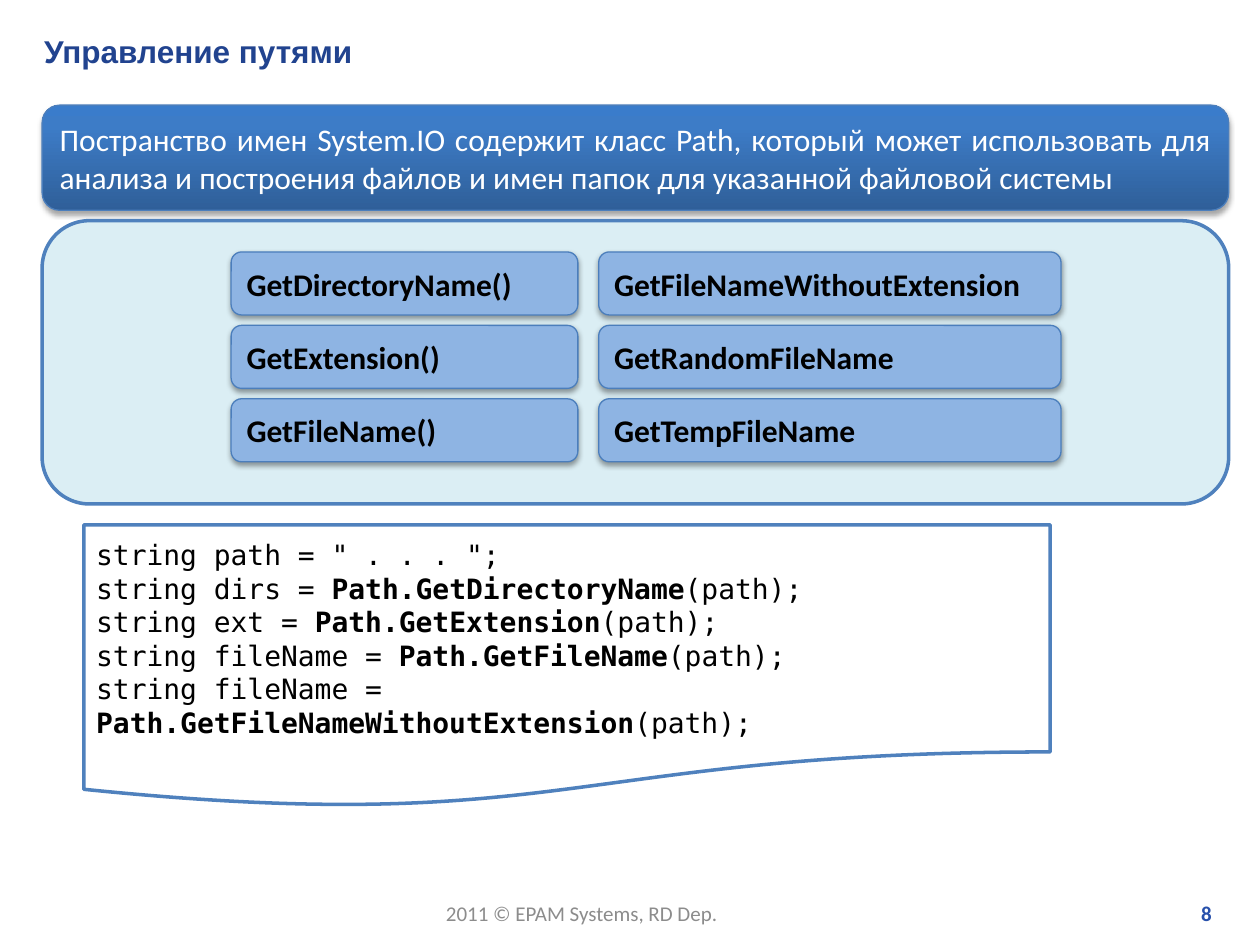
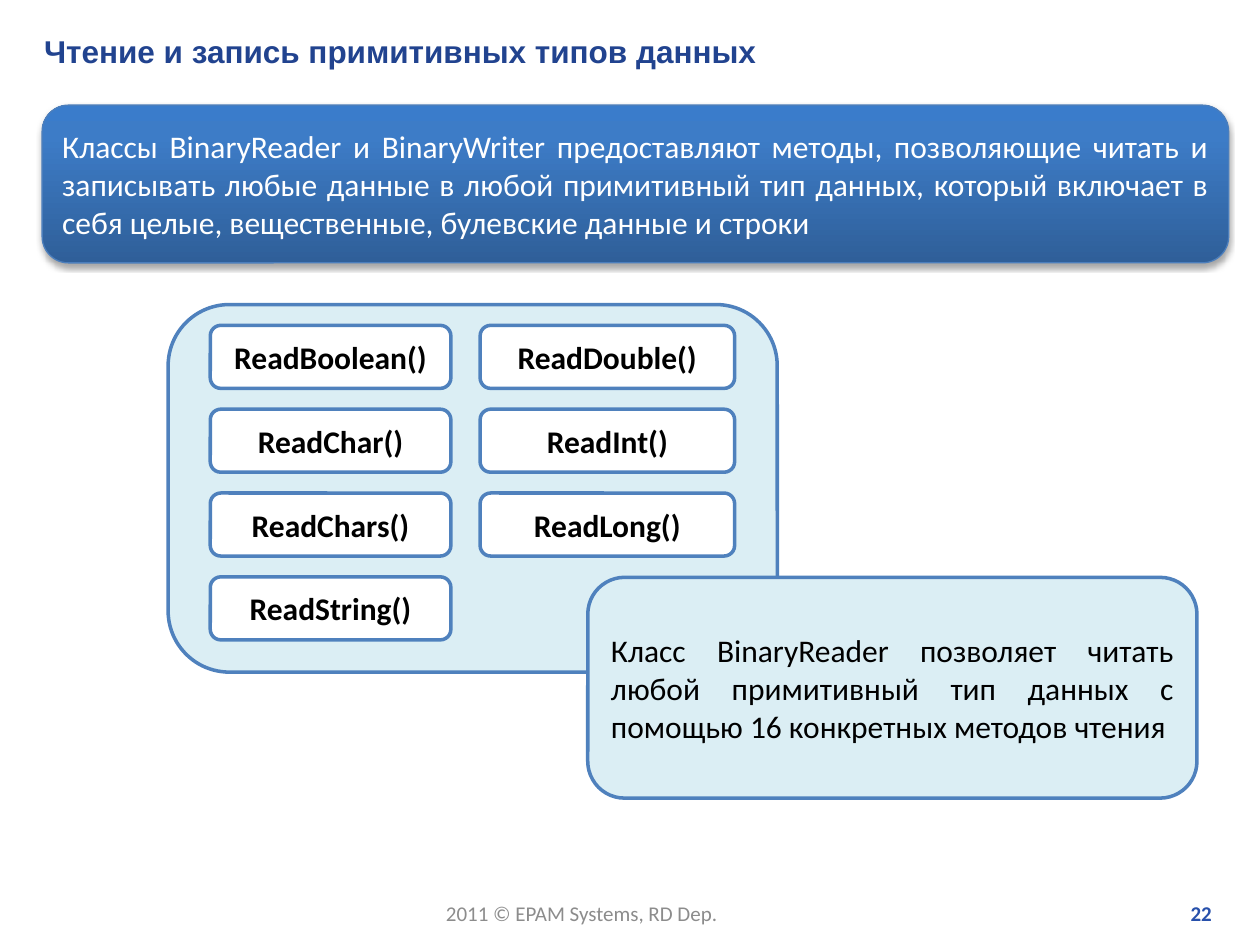
from copy import deepcopy
from dataclasses import dataclass

from lxml import etree
from pptx import Presentation
from pptx.dml.color import RGBColor
from pptx.enum.shapes import MSO_SHAPE
from pptx.enum.text import MSO_ANCHOR, PP_ALIGN
from pptx.oxml.ns import qn
from pptx.util import Cm, Pt

ROUNDED = MSO_SHAPE.ROUNDED_RECTANGLE
DOCUMENT = MSO_SHAPE.FLOWCHART_DOCUMENT
MIDDLE = MSO_ANCHOR.MIDDLE
LEFT, CENTER, RIGHT, JUSTIFY = PP_ALIGN.LEFT, PP_ALIGN.CENTER, PP_ALIGN.RIGHT, PP_ALIGN.JUSTIFY
BLANK_LAYOUT = 6


@dataclass(frozen=True)
class Theme:
    title: str = "21438F"
    number: str = "2750AB"
    footer: str = "8C8C8C"
    white: str = "FFFFFF"
    black: str = "000000"
    panel: str = "DBEEF4"
    outline: str = "4F81BD"
    thin_outline: str = "4B7EBC"
    method: str = "8EB4E3"
    banner: tuple = ((0, "2F5F99"), (0.8, "3D7CC7"), (1, "3A7CCB"))
    title_font: str = "Arial"
    body_font: str = "Calibri"
    code_font: str = "DejaVu Sans Mono"
    body_size: int = 18
    code_size: int = 16
    footer_size: int = 12
    thick: float = 2
    thin: float = 0.75
    space_after: int = 10


@dataclass(frozen=True)
class Box:
    left: float
    top: float
    width: float
    height: float

    def inner(self, left, top, width, height):
        return Box(self.left + left, self.top + top, width, height)

    def lengths(self):
        return [Cm(value) for value in (self.left, self.top, self.width, self.height)]


THEME = Theme()
PAGE = Box(0, 0, 25.4, 19.05)


def format_run(run, color, size=THEME.body_size, bold=False, font=THEME.body_font):
    run.font.name = font
    run.font.size = Pt(size)
    run.font.bold = bold
    run.font.color.rgb = RGBColor.from_string(color)


def write_paragraph(shape, text, color, align, space_after=0, **style):
    shape.text_frame.text = text
    paragraph = shape.text_frame.paragraphs[0]
    paragraph.alignment = align
    paragraph.space_after = Pt(space_after)
    for run in paragraph.runs:
        format_run(run, color, **style)


def add_label(slide, box, text, color, align=LEFT, wrap=True, **style):
    label = slide.shapes.add_textbox(*box.lengths())
    label.text_frame.word_wrap = wrap
    label.text_frame.vertical_anchor = MIDDLE
    write_paragraph(label, text, color, align, **style)


def add_panel(shapes, box, fill=THEME.panel, line=THEME.outline, weight=THEME.thick, kind=ROUNDED):
    panel = shapes.add_shape(kind, *box.lengths())
    panel.shadow.inherit = False
    panel.fill.solid()
    panel.fill.fore_color.rgb = RGBColor.from_string(fill)
    panel.line.color.rgb = RGBColor.from_string(line)
    panel.line.width = Pt(weight)
    panel.text_frame.word_wrap = True
    panel.text_frame.vertical_anchor = MIDDLE
    return panel


def add_shadow(shape, opacity, distance):
    effects = shape._element.spPr.find(qn("a:effectLst"))
    shadow = etree.SubElement(
        effects, qn("a:outerShdw"), blurRad=str(Pt(3.1)), dist=str(Pt(distance)),
        dir="5400000", rotWithShape="0")
    color = etree.SubElement(shadow, qn("a:srgbClr"), val=THEME.black)
    etree.SubElement(color, qn("a:alpha"), val=str(opacity * 1000))


def fill_gradient(shape, stops):
    shape.fill.gradient()
    shape.fill.gradient_angle = 90
    stop_list = shape._element.spPr.find(qn("a:gradFill")).find(qn("a:gsLst"))
    stop_list.append(deepcopy(stop_list[0]))
    for stop, (position, color) in zip(shape.fill.gradient_stops, stops):
        stop.position = position
        stop.color.rgb = RGBColor.from_string(color)


def add_page(presentation, title, number):
    slide = presentation.slides.add_slide(presentation.slide_layouts[BLANK_LAYOUT])
    add_label(slide, PAGE.inner(8.74, 18.03, 6.07, 0.76), "2011 © EPAM Systems, RD Dep.",
              THEME.footer, wrap=False, size=THEME.footer_size)
    add_label(slide, PAGE.inner(19.3, 18.03, 5.38, 0.76), str(number),
              THEME.number, RIGHT, size=THEME.footer_size, bold=True)
    add_label(slide, PAGE.inner(0.64, 0.51, 24.23, 1.02), title,
              THEME.title, bold=True, font=THEME.title_font)
    return slide


def add_banner(slide, text, height):
    banner = add_panel(slide.shapes, PAGE.inner(0.85, 2.12, 23.92, height),
                       line=THEME.thin_outline, weight=THEME.thin)
    fill_gradient(banner, THEME.banner)
    add_shadow(banner, 35, 1.8)
    write_paragraph(banner, text, THEME.white, JUSTIFY, THEME.space_after)


def add_method_grid(shapes, box, columns, gap, pitch, align, shadowed=False, **look):
    left = 0
    for width, methods in columns:
        for row, method in enumerate(methods):
            button = add_panel(shapes, box.inner(left, row * pitch, width, 1.27), **look)
            if shadowed:
                add_shadow(button, 38, 1.6)
            write_paragraph(button, method, THEME.black, align, THEME.space_after, bold=True)
        left += width + gap


def add_path_methods(slide, box):
    add_panel(slide.shapes, box)
    columns = [
        (6.99, ["GetDirectoryName()", "GetExtension()", "GetFileName()"]),
        (9.32, ["GetFileNameWithoutExtension", "GetRandomFileName", "GetTempFileName"]),
    ]
    add_method_grid(slide.shapes, box.inner(3.81, 0.63, 16.73, 4.23), columns, 0.42, 1.48,
                    JUSTIFY, shadowed=True, fill=THEME.method,
                    line=THEME.thin_outline, weight=THEME.thin)


def add_code(slide, box, lines):
    document = add_panel(slide.shapes, box, fill=THEME.white, kind=DOCUMENT)
    frame = document.text_frame
    frame.text = "\n".join(start for start, call, end in lines)
    for paragraph, (start, call, end) in zip(frame.paragraphs, lines):
        paragraph.alignment = LEFT
        for part in filter(None, (call, end)):
            paragraph.add_run().text = part
        for run in paragraph.runs:
            format_run(run, THEME.black, THEME.code_size, run.text == call, THEME.code_font)


def add_read_methods(slide, box):
    group = slide.shapes.add_group_shape()
    add_panel(group.shapes, box)
    columns = [
        (4.85, ["ReadBoolean()", "ReadChar()", "ReadChars()", "ReadString()"]),
        (5.13, ["ReadDouble()", "ReadInt()", "ReadLong()"]),
    ]
    add_method_grid(group.shapes, box.inner(0.85, 0.42, 10.57, 6.35), columns, 0.59, 1.69,
                    CENTER, fill=THEME.white)


def add_note(slide, box, text):
    note = add_panel(slide.shapes, box)
    write_paragraph(note, text, THEME.black, JUSTIFY, THEME.space_after)


def build_paths_slide(presentation):
    slide = add_page(presentation, "Управление путями", 8)
    add_banner(slide, "Постранство имен System.IO содержит класс Path, который может использовать "
               "для анализа и построения файлов и имен папок для указанной файловой системы", 2.12)
    add_path_methods(slide, PAGE.inner(0.85, 4.45, 23.92, 5.71))
    add_code(slide, PAGE.inner(1.69, 10.58, 19.48, 5.71), [
        ('string path = " . . . ";', "", ""),
        ("string dirs = ", "Path.GetDirectoryName", "(path);"),
        ("string ext = ", "Path.GetExtension", "(path);"),
        ("string fileName = ", "Path.GetFileName", "(path);"),
        ("string fileName = ", "Path.GetFileNameWithoutExtension", "(path);"),
    ])


def build_binary_slide(presentation):
    slide = add_page(presentation, "Чтение и запись примитивных типов данных", 22)
    add_banner(slide, "Классы BinaryReader и BinaryWriter предоставляют методы, позволяющие читать "
               "и записывать любые данные в любой примитивный тип данных, который включает в себя "
               "целые, вещественные, булевские данные и строки", 3.18)
    add_read_methods(slide, PAGE.inner(3.39, 6.14, 12.28, 7.41))
    add_note(slide, PAGE.inner(11.85, 11.64, 12.28, 4.45),
             "Класс BinaryReader позволяет читать любой примитивный тип данных "
             "с помощью 16 конкретных методов чтения")


def main():
    presentation = Presentation()
    presentation.slide_width = Cm(PAGE.width)
    presentation.slide_height = Cm(PAGE.height)
    build_paths_slide(presentation)
    build_binary_slide(presentation)
    presentation.save("out.pptx")


if __name__ == "__main__":
    main()
